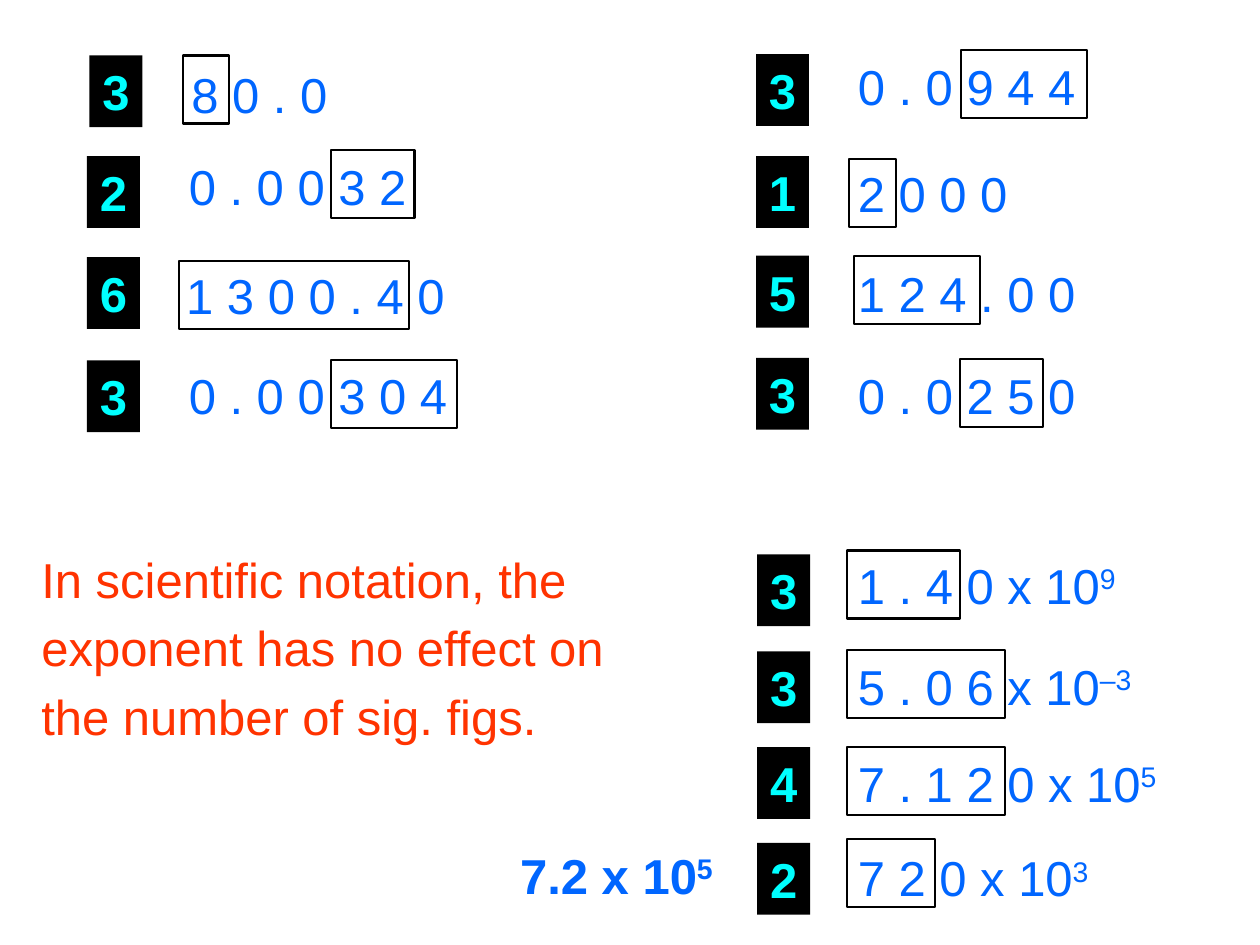
from dataclasses import dataclass

from lxml import etree
from pptx import Presentation
from pptx.dml.color import RGBColor
from pptx.enum.shapes import MSO_SHAPE
from pptx.enum.text import MSO_ANCHOR, MSO_AUTO_SIZE, PP_ALIGN
from pptx.oxml.ns import qn
from pptx.util import Inches, Pt

RECTANGLE = MSO_SHAPE.RECTANGLE
CENTER, LEFT = PP_ALIGN.CENTER, PP_ALIGN.LEFT
MIDDLE = MSO_ANCHOR.MIDDLE
GROW = MSO_AUTO_SIZE.SHAPE_TO_FIT_TEXT
BLANK_LAYOUT = 6


@dataclass(frozen=True)
class Theme:
    font: str = "Arial"
    size: int = 28
    line_width: float = 1.25
    number: RGBColor = RGBColor(0x00, 0x66, 0xFF)
    rule: RGBColor = RGBColor(0xFF, 0x33, 0x00)
    count: RGBColor = RGBColor(0x00, 0xFF, 0xFF)
    ink: RGBColor = RGBColor(0x00, 0x00, 0x00)


@dataclass(frozen=True)
class Example:
    """A number, its count of significant figures and the frame round its digits.

    Each place is (left, top) in inches.
    """
    count: str
    count_at: tuple
    number: str
    number_at: tuple
    frame_at: tuple
    frame_width: float
    exponent: str = ""
    width: float = 2.58


EXAMPLES = [
    Example("3", (0.71, 0.44), "8 0 . 0", (1.42, 0.46), (1.45, 0.44), 0.37, width=2.5),
    Example("2", (0.69, 1.24), "0 . 0 0 3 2", (1.4, 1.19), (2.63, 1.19), 0.66),
    Example("6", (0.69, 2.04), "1 3 0 0 . 4 0", (1.38, 2.06), (1.42, 2.07), 1.83, width=2.5),
    Example("3", (0.69, 2.86), "0 . 0 0 3 0 4", (1.4, 2.85), (2.63, 2.86), 1),
    Example("3", (6, 0.43), "0 . 0 9 4 4", (6.71, 0.4), (7.63, 0.4), 1, width=2.5),
    Example("1", (6, 1.24), "2 0 0 0", (6.71, 1.25), (6.74, 1.26), 0.37),
    Example("5", (6, 2.03), "1 2 4 . 0 0", (6.71, 2.04), (6.78, 2.03), 1),
    Example("3", (6, 2.84), "0 . 0 2 5 0", (6.71, 2.85), (7.62, 2.85), 0.66),
    Example("3", (6.01, 4.4), "1 . 4 0 x 10", (6.71, 4.36), (6.72, 4.37), 0.9, "9"),
    Example("3", (6.01, 5.17), "5 . 0 6 x 10", (6.71, 5.16), (6.72, 5.16), 1.26, "–3", 2.83),
    Example("4", (6.01, 5.93), "7 . 1 2 0 x 10", (6.71, 5.93), (6.72, 5.93), 1.26, "5", 2.83),
    Example("2", (6.01, 6.69), "7 2 0 x 10", (6.71, 6.68), (6.72, 6.66), 0.7, "3", 2.83),
]
RULE_LINES = [
    "In scientific notation, the",
    "exponent has no effect on",
    "the number of sig. figs.",
]


def write(para, text, *, theme, color, bold=False, raised=False, align=LEFT):
    para.alignment = align
    span = para.add_run()
    span.text = text
    font = span.font
    font.name, font.size, font.bold = theme.font, Pt(theme.size), bold
    font.color.rgb = color
    if raised:
        span._r.get_or_add_rPr().set("baseline", "30000")


def hang(para):
    """Give a paragraph a hanging indent and 20 % space before it."""
    props = para._p.get_or_add_pPr()
    props.set("marL", str(Inches(0.38)))
    props.set("indent", str(-Inches(0.38)))
    before = etree.Element(qn("a:spcBef"))
    etree.SubElement(before, qn("a:spcPct")).set("val", "20000")
    props.insert(0, before)


class SlideBuilder:
    def __init__(self, page, theme):
        self.page = page
        self.theme = theme

    def rectangle(self, place, width, height):
        left, top = place
        box = self.page.shapes.add_shape(
            RECTANGLE, Inches(left), Inches(top), Inches(width), Inches(height))
        box.shadow.inherit = False
        return box

    def badge(self, place, text):
        box = self.rectangle(place, 0.42, 0.57)
        box.fill.solid()
        box.fill.fore_color.rgb = self.theme.ink
        box.line.fill.background()
        frame = box.text_frame
        frame.word_wrap = False
        frame.auto_size = GROW
        frame.vertical_anchor = MIDDLE
        write(frame.paragraphs[0], text, theme=self.theme,
              color=self.theme.count, bold=True, align=CENTER)

    def outline(self, place, width):
        box = self.rectangle(place, width, 0.54)
        box.fill.background()
        box.line.color.rgb = self.theme.ink
        box.line.width = Pt(self.theme.line_width)

    def text(self, place, width, height, lines, *, color, bold=False, exponent=""):
        """Add one paragraph a line; the exponent follows the last line."""
        left, top = place
        box = self.page.shapes.add_textbox(
            Inches(left), Inches(top), Inches(width), Inches(height))
        frame = box.text_frame
        frame.word_wrap = True
        for index, line in enumerate(lines):
            para = frame.add_paragraph() if index else frame.paragraphs[0]
            write(para, line, theme=self.theme, color=color, bold=bold)
            hang(para)
        if exponent:
            write(para, exponent, theme=self.theme, color=color, bold=bold, raised=True)

    def example(self, item):
        self.text(item.number_at, item.width, 0.58, [item.number],
                  color=self.theme.number, exponent=item.exponent)
        self.badge(item.count_at, item.count)
        self.outline(item.frame_at, item.frame_width)


def main():
    deck = Presentation()
    deck.slide_width, deck.slide_height = Inches(10), Inches(7.5)
    theme = Theme()
    page = deck.slides.add_slide(deck.slide_layouts[BLANK_LAYOUT])
    builder = SlideBuilder(page, theme)
    for item in EXAMPLES:
        builder.example(item)
    builder.text((0.23, 4.31), 5.35, 1.73, RULE_LINES, color=theme.rule)
    builder.text((4.03, 6.66), 2.17, 0.58, ["7.2 x 10"],
                 color=theme.number, bold=True, exponent="5")
    deck.save("out.pptx")


if __name__ == "__main__":
    main()
